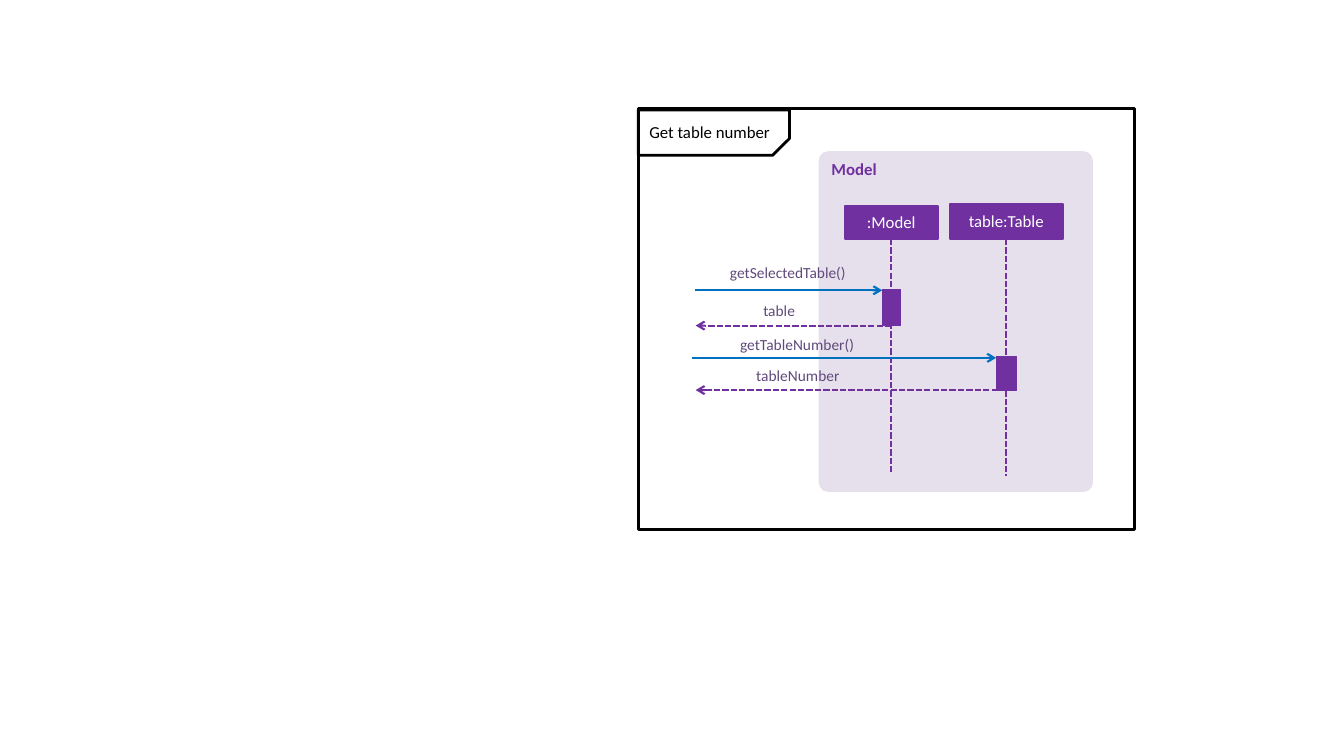
"""Build a slide with a sequence diagram for reading a table number."""
from dataclasses import dataclass

from lxml import etree
from pptx import Presentation
from pptx.dml.color import RGBColor
from pptx.enum.dml import MSO_LINE
from pptx.enum.shapes import MSO_CONNECTOR, MSO_SHAPE
from pptx.enum.text import MSO_ANCHOR, MSO_AUTO_SIZE, PP_ALIGN
from pptx.oxml.ns import qn
from pptx.util import Pt

STRAIGHT = MSO_CONNECTOR.STRAIGHT
RECT = MSO_SHAPE.RECTANGLE
ROUNDED = MSO_SHAPE.ROUNDED_RECTANGLE
SNIPPED = MSO_SHAPE.SNIP_1_RECTANGLE
DASH = MSO_LINE.SQUARE_DOT
LEFT, CENTER = PP_ALIGN.LEFT, PP_ALIGN.CENTER
TOP, MIDDLE = MSO_ANCHOR.TOP, MSO_ANCHOR.MIDDLE
FIT_SHAPE = MSO_AUTO_SIZE.SHAPE_TO_FIT_TEXT
SIDE_BOTTOM = 2
EMU_PER_PX = 9144


@dataclass(frozen=True)
class Theme:
    """Colours, font and sizes of the diagram."""
    font: str = "Calibri"
    purple: str = "7030A0"
    label: str = "604A7B"
    panel: str = "E6E0EC"
    call: str = "0070C0"
    black: str = "000000"
    white: str = "FFFFFF"
    title_size: int = 12
    label_size: int = 11
    thin: float = 0.75
    line: float = 1.5
    frame: float = 2


THEME = Theme()


def px(n):
    """Turn px into EMU."""
    return round(n * EMU_PER_PX)


def write(tf, text, size=THEME.title_size, color=THEME.black, bold=False,
          align=LEFT, anchor=TOP):
    """Put one formatted line of text into a text frame."""
    tf.word_wrap = True
    tf.vertical_anchor = anchor
    p = tf.paragraphs[0]
    p.alignment = align
    r = p.add_run()
    r.text = text
    r.font.name = THEME.font
    r.font.size = Pt(size)
    r.font.bold = bold
    r.font.color.rgb = RGBColor.from_string(color)


def add_box(slide, kind, x, y, w, h, fill=None, line=None, width=THEME.line):
    """Add a flat preset shape."""
    sp = slide.shapes.add_shape(kind, px(x), px(y), px(w), px(h))
    sp.shadow.inherit = False
    if fill:
        sp.fill.solid()
        sp.fill.fore_color.rgb = RGBColor.from_string(fill)
    else:
        sp.fill.background()
    if line:
        sp.line.color.rgb = RGBColor.from_string(line)
        sp.line.width = Pt(width)
    else:
        sp.line.fill.background()
    return sp


def add_label(slide, text, x, y, w, h, **fmt):
    """Add a text box without insets."""
    tf = slide.shapes.add_textbox(px(x), px(y), px(w), px(h)).text_frame
    tf.margin_left = tf.margin_top = tf.margin_right = tf.margin_bottom = 0
    tf.auto_size = FIT_SHAPE
    write(tf, text, **fmt)


def add_line(slide, x1, y1, x2, y2, color, dashed=False, arrow=False, source=None):
    """Add a line, optionally joined to the bottom of its source."""
    cn = slide.shapes.add_connector(STRAIGHT, px(x1), px(y1), px(x2), px(y2))
    cn.line.color.rgb = RGBColor.from_string(color)
    cn.line.width = Pt(THEME.line)
    if dashed:
        cn.line.dash_style = DASH
    if arrow:
        etree.SubElement(cn.line._get_or_add_ln(), qn("a:tailEnd"), type="arrow")
    etree.SubElement(cn._element.spPr, qn("a:effectLst"))
    if source is not None:
        cn.begin_connect(source, SIDE_BOTTOM)


def add_participant(slide, name, x, y, w, h, end, start, active_w, active_h):
    """Add a head, its lifeline and its activation, all centred on x."""
    head = add_box(slide, RECT, x - w / 2, y, w, h, THEME.purple, THEME.purple)
    write(head.text_frame, name, color=THEME.white, align=CENTER, anchor=MIDDLE)
    add_line(slide, x, y + h, x, end, THEME.purple, dashed=True, source=head)
    return add_box(slide, RECT, x - active_w / 2, start, active_w, active_h,
                   THEME.purple, THEME.purple, THEME.thin)


def add_model(slide, x, y, w, h):
    """Add the model panel and return the activations of its participants."""
    panel = add_box(slide, ROUNDED, x, y, w, h, THEME.panel)
    panel.adjustments[0] = 0.035
    write(panel.text_frame, "Model", color=THEME.purple, bold=True)
    model = add_participant(slide, ":Model", x + 72, y + 54, 92, 33,
                            y + 320, y + 137, 18, 36)
    table = add_participant(slide, "table:Table", x + 186, y + 52, 112, 35,
                            y + 322, y + 204, 20, 33)
    return model, table


def add_messages(slide, x, y, model, table):
    """Add the calls into the activations and the returns from them."""
    exchanges = [
        (model, ("getSelectedTable()", 91, 153), (56, 180), ("table", 124, 191), 215),
        (table, ("getTableNumber()", 101, 224), (53, 247), ("tableNumber", 117, 255), 279),
    ]
    for target, call, (call_x, call_y), answer, answer_y in exchanges:
        left = target.left / EMU_PER_PX
        center = left + target.width / EMU_PER_PX / 2
        add_line(slide, x + call_x, y + call_y, left, y + call_y, THEME.call, arrow=True)
        add_line(slide, center, y + answer_y, x + 57, y + answer_y, THEME.purple,
                 dashed=True, arrow=True, source=target)
        for text, dx, dy in (call, answer):
            add_label(slide, text, x + dx, y + dy, 148, 19,
                      size=THEME.label_size, color=THEME.label)


def add_frame(slide, x, y, w, h):
    """Add the outer frame with its name tag."""
    add_box(slide, RECT, x, y, w, h, line=THEME.black, width=THEME.frame)
    tag = add_box(slide, SNIPPED, x, y + 1, 150, 45, line=THEME.black, width=THEME.frame)
    tag.adjustments[0] = 0.367
    tag._element.spPr.xfrm.set("flipV", "1")
    add_label(slide, "Get table number", x + 11, y + 13, 129, 20)


def add_diagram(slide, x, y, w, h):
    """Add the whole sequence diagram."""
    model, table = add_model(slide, x + 179, y + 42, 272, 338)
    add_messages(slide, x, y, model, table)
    add_frame(slide, x, y, w, h)


def main():
    """Build and save the presentation."""
    prs = Presentation()
    prs.slide_width, prs.slide_height = px(1333), px(750)
    slide = prs.slides.add_slide(prs.slide_layouts[6])
    add_diagram(slide, 633, 108, 492, 417)
    prs.save("out.pptx")


if __name__ == "__main__":
    main()
